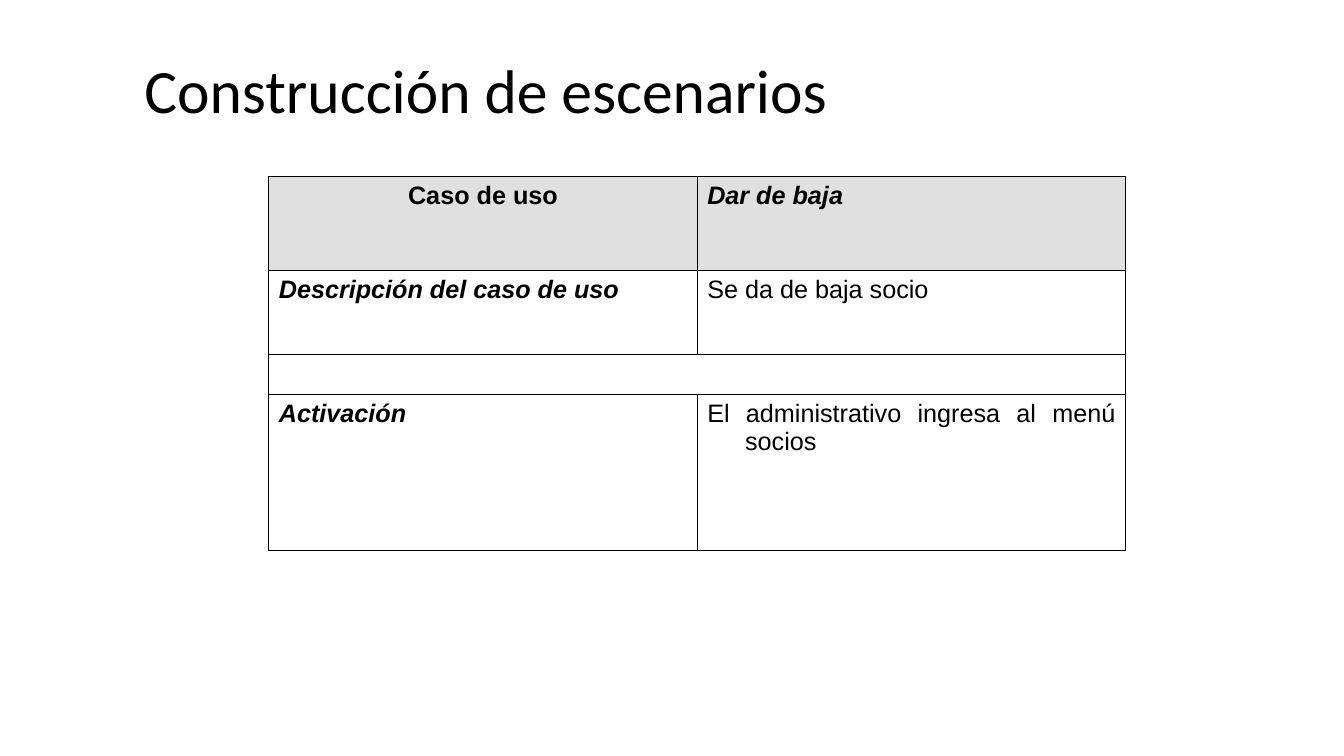
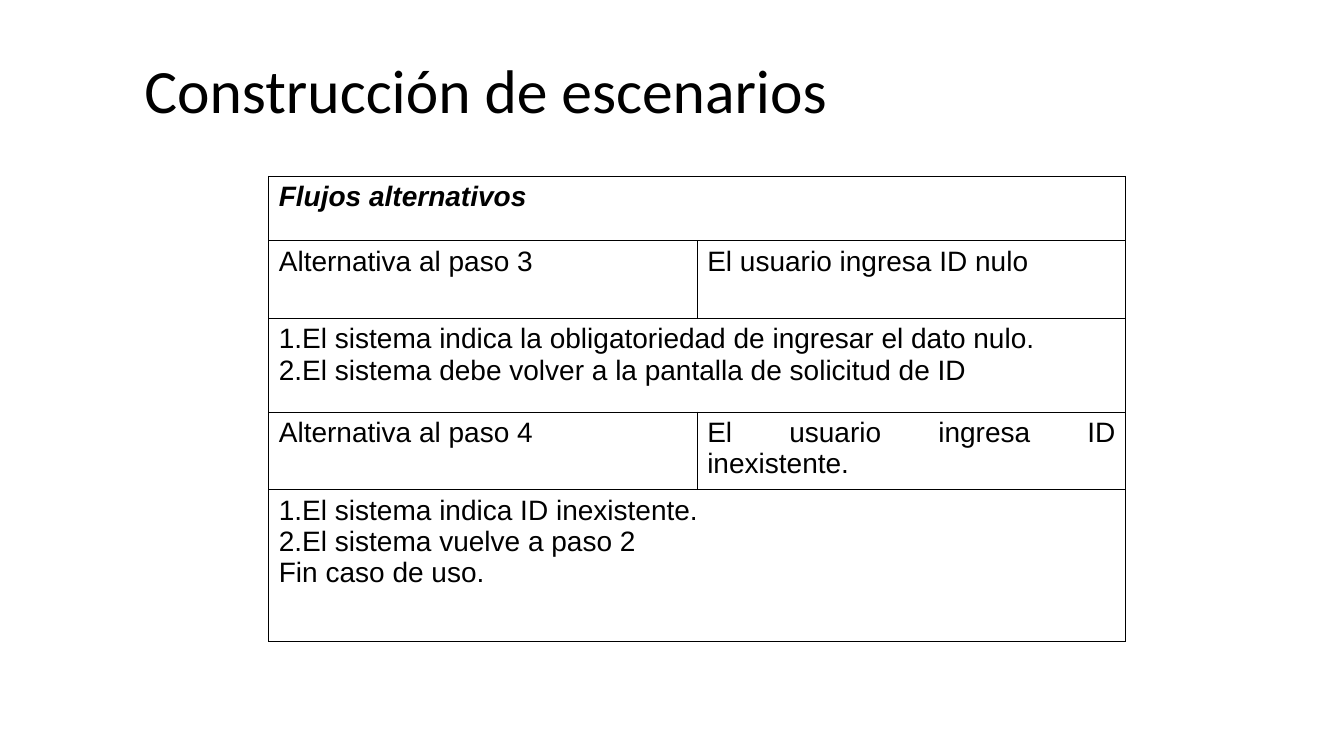
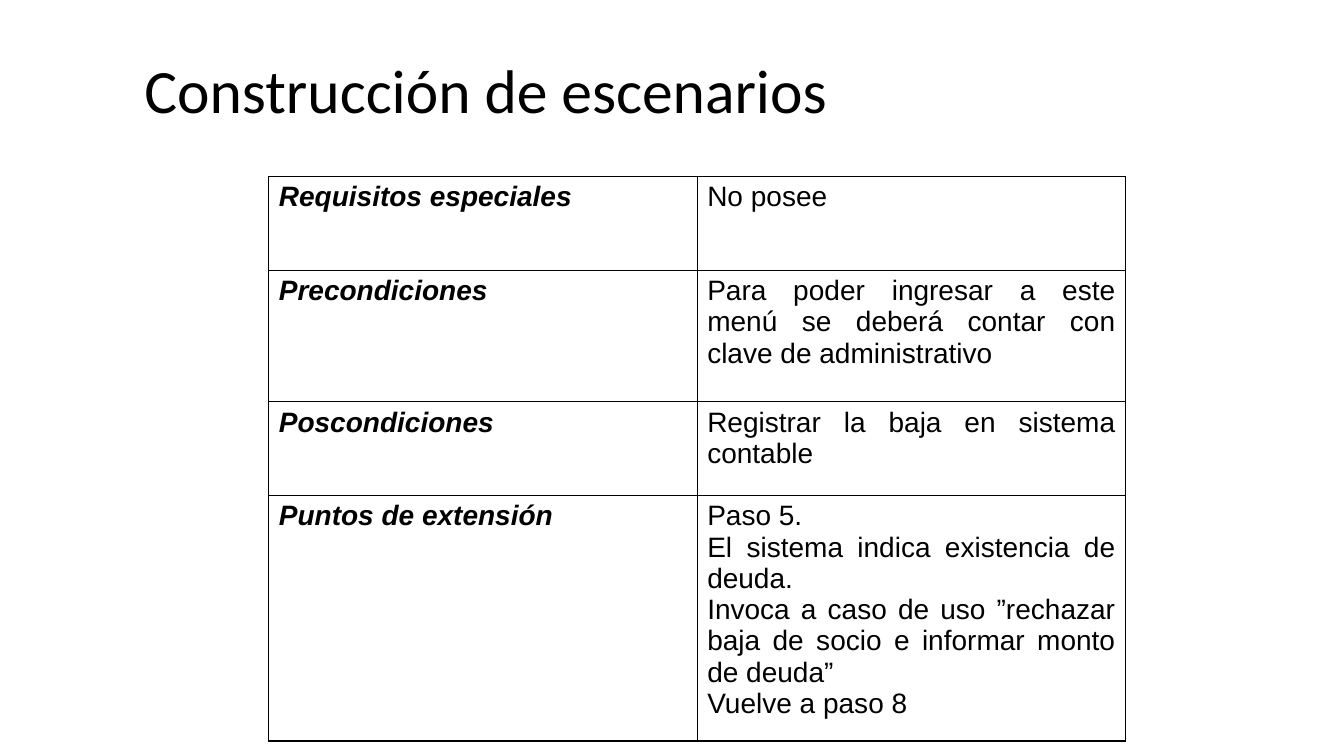
import dataclasses

import pptx
import pptx.dml.color
import pptx.enum.text
import pptx.oxml
import pptx.oxml.ns
import pptx.util

Pt = pptx.util.Pt
ALIGN = pptx.enum.text.PP_ALIGN

COLORS = {"text": "000000", "border": "000000", "header": "E0E0E0"}
TITLE = "Construcción de escenarios"
TITLE_BOX = (96, 21.5, 816, 90)
TABLE_BOX = (192, 126, 612)
HANGING = 27


@dataclasses.dataclass
class Cell:
    """Content and style of one table cell."""
    lines: tuple = ()
    bold: bool = False
    italic: bool = False
    align: int = ALIGN.JUSTIFY
    numbered: int = 0
    fill: str = ""


def plain(*lines, **style):
    """Return a cell of regular text."""
    return Cell(lines, **style)


def label(line, **style):
    """Return a cell of bold italic text."""
    return Cell((line,), bold=True, italic=True, **style)


def color(name):
    """Return a palette colour."""
    return pptx.dml.color.RGBColor.from_string(COLORS[name])


def set_font(paragraph, name, size, bold=False, italic=False):
    """Set the font of a whole paragraph."""
    font = paragraph.font
    font.name, font.size, font.bold, font.italic = name, Pt(size), bold, italic
    font.color.rgb = color("text")


def add_title(slide, box):
    """Place the shared title in its box."""
    shape = slide.shapes.add_textbox(*map(Pt, box))
    frame = shape.text_frame
    frame.word_wrap = True
    frame.vertical_anchor = pptx.enum.text.MSO_ANCHOR.MIDDLE
    paragraph = frame.paragraphs[0]
    paragraph.text = TITLE
    paragraph.line_spacing = 0.9
    set_font(paragraph, "Calibri", 44)


def set_borders(table_cell):
    """Draw a thin line on all four sides of a cell."""
    properties = table_cell._tc.get_or_add_tcPr()
    for side in "LRTB":
        properties.append(pptx.oxml.parse_xml(
            f'<a:ln{side} {pptx.oxml.ns.nsdecls("a")} w="{Pt(1)}"><a:solidFill>'
            f'<a:srgbClr val="{COLORS["border"]}"/></a:solidFill></a:ln{side}>'))


def fill_cell(table_cell, cell, size, hanging):
    """Write the paragraphs of a cell and set its fill."""
    if cell.fill:
        table_cell.fill.solid()
        table_cell.fill.fore_color.rgb = color(cell.fill)
    else:
        table_cell.fill.background()
    frame = table_cell.text_frame
    frame.text = "\n".join(cell.lines)
    for index, paragraph in enumerate(frame.paragraphs):
        paragraph.alignment = cell.align
        properties = paragraph._p.get_or_add_pPr()
        if hanging:
            properties.set("marL", str(Pt(hanging)))
            properties.set("indent", str(-Pt(hanging)))
        if index < cell.numbered:
            properties.append(pptx.oxml.parse_xml(
                f'<a:buAutoNum {pptx.oxml.ns.nsdecls("a")} type="arabicPeriod"/>'))
        set_font(paragraph, "Arial", size, cell.bold, cell.italic)


def add_scenario_table(slide, box, rows, size, hanging):
    """Place a two-column table; a row of one cell spans both columns."""
    left, top, width = box
    height = sum(row[0] for row in rows)
    shape = slide.shapes.add_table(
        len(rows), 2, Pt(left), Pt(top), Pt(width), Pt(height))
    table = shape.table
    table.first_row = table.horz_banding = False
    for column in table.columns:
        column.width = Pt(width / 2)
    for table_row, (row_height, *cells) in zip(table.rows, rows):
        table_row.height = Pt(row_height)
        first, second = table_row.cells
        if len(cells) == 1:
            first.merge(second)
        for table_cell in (first, second):
            set_borders(table_cell)
            table_cell.fill.background()
        for table_cell, cell in zip((first, second), cells):
            fill_cell(table_cell, cell, size, hanging)


def add_scenario_slide(presentation, rows, size=20, hanging=0):
    """Add a slide with the shared title and a table."""
    slide = presentation.slides.add_slide(presentation.slide_layouts[6])
    add_title(slide, TITLE_BOX)
    add_scenario_table(slide, TABLE_BOX, rows, size, hanging)


USE_CASE = [
    (67, Cell(("Caso de uso",), bold=True, align=ALIGN.CENTER, fill="header"),
     label("Dar de baja", fill="header")),
    (60, label("Descripción del caso de uso", align=ALIGN.LEFT),
     plain("Se da de baja socio")),
    (29, plain()),
    (111, label("Activación"), plain("El administrativo ingresa al menú socios")),
]

ALTERNATIVES = [
    (46, label("Flujos alternativos")),
    (55.5, plain("Alternativa al paso 3"), plain("El usuario ingresa ID nulo")),
    (67, plain("El sistema indica la obligatoriedad de ingresar el dato nulo.",
               "El sistema debe volver a la pantalla de solicitud de ID", numbered=2)),
    (55.5, plain("Alternativa al paso 4"),
     plain("El usuario ingresa ID inexistente.")),
    (108.5, plain("El sistema indica ID inexistente.", "El sistema vuelve a paso 2",
                  "Fin caso de uso.", numbered=2)),
]

CONDITIONS = [
    (67, label("Requisitos especiales"), plain("No posee")),
    (94, label("Precondiciones"),
     plain("Para poder ingresar a este menú se deberá contar con clave de administrativo")),
    (67, label("Poscondiciones"), plain("Registrar la baja en sistema contable")),
    (163.5, label("Puntos de extensión"),
     plain("Paso 5.", "El sistema indica existencia de deuda.",
           "Invoca a caso de uso ”rechazar baja de socio e informar monto de deuda”",
           "Vuelve a paso 8")),
]


def main():
    """Build and save the presentation."""
    presentation = pptx.Presentation()
    presentation.slide_width, presentation.slide_height = Pt(960), Pt(540)
    add_scenario_slide(presentation, USE_CASE, size=18, hanging=HANGING)
    add_scenario_slide(presentation, ALTERNATIVES)
    add_scenario_slide(presentation, CONDITIONS)
    presentation.save("out.pptx")


if __name__ == "__main__":
    main()
